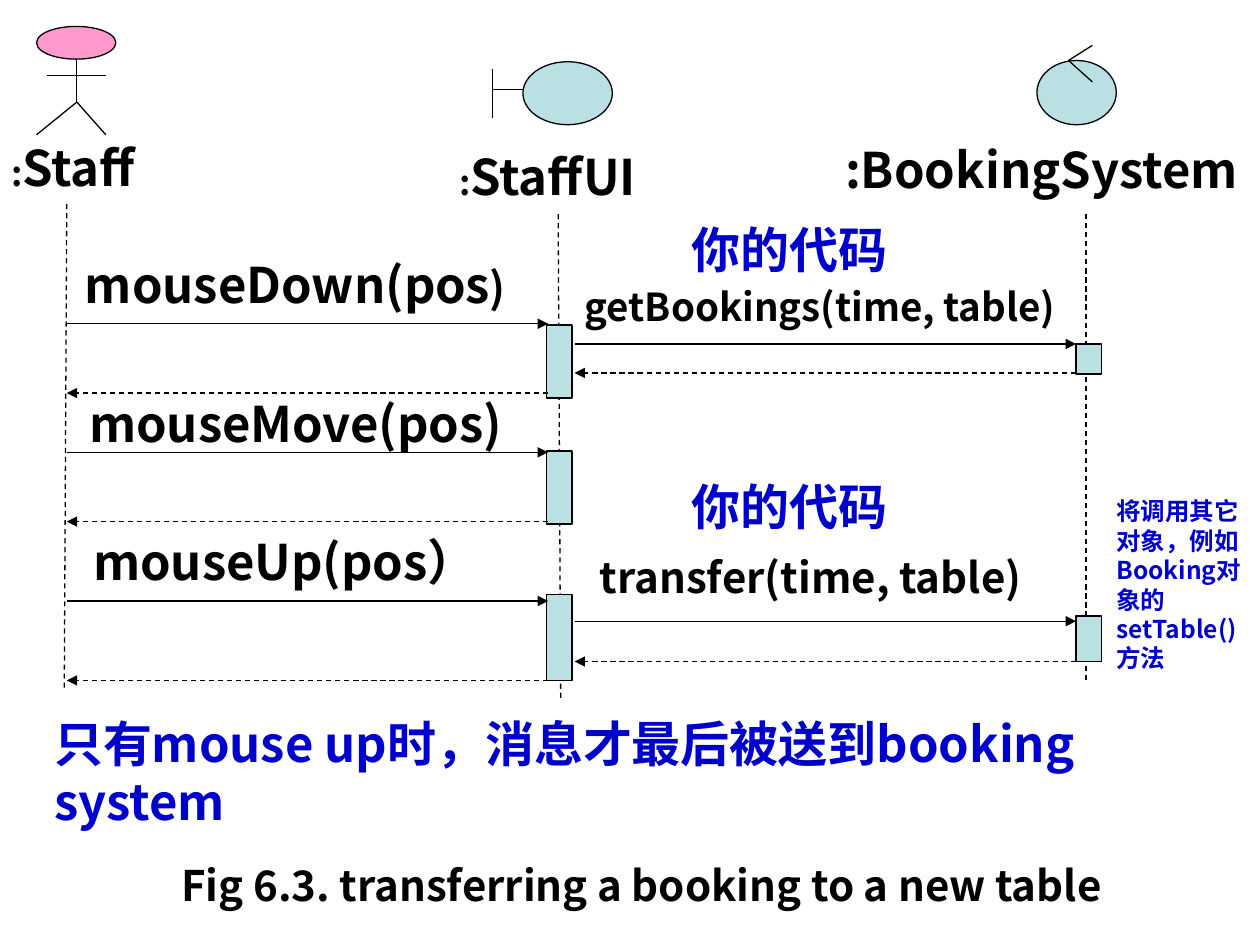
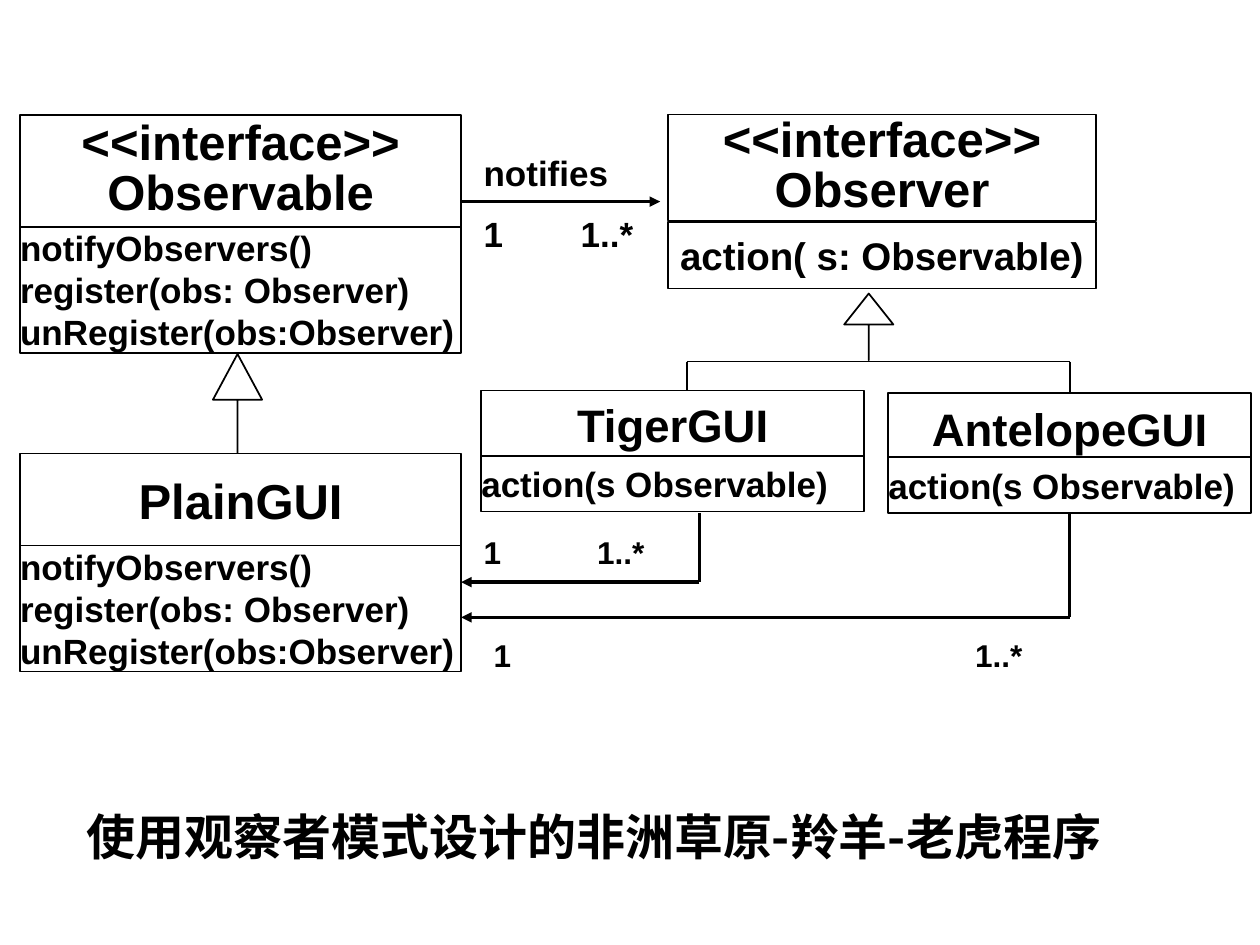
import dataclasses

import lxml.etree
import pptx
import pptx.dml.color
import pptx.enum.dml
import pptx.enum.shapes
import pptx.enum.text
import pptx.oxml.ns
import pptx.util

PX = 9144
KIND = pptx.enum.shapes.MSO_SHAPE
ALIGN = pptx.enum.text.PP_ALIGN
ANCHOR = pptx.enum.text.MSO_ANCHOR
qn = pptx.oxml.ns.qn


@dataclasses.dataclass(frozen=True)
class Theme:
    ink: str = "000000"
    paper: str = "FFFFFF"
    note: str = "0000CC"
    object_fill: str = "BBE0E3"
    actor_fill: str = "FF99CC"
    chinese: str = "Noto Sans CJK SC"
    latin: str = "Arial"
    heading: int = 28
    class_name: int = 26
    caption: int = 24
    signature: int = 22
    method: int = 20
    label: int = 18
    remark: int = 14
    thin: float = 0.75
    outline: float = 1
    thick: float = 2


theme = Theme()


def add_text(shapes, text, box, *, shape=None, kind=None, fill=None, line=None,
             sizes=(theme.heading,), color=theme.ink, font=theme.chinese,
             align=ALIGN.LEFT, anchor=ANCHOR.TOP, inset=(0, 0), wrap=True,
             spacing=None, tab=None):
    left, top, width, height = (value * PX for value in box)
    if shape is not None:
        shape.left, shape.top, shape.width, shape.height = left, top, width, height
    elif kind is None:
        shape = shapes.add_textbox(left, top, width, height)
    else:
        shape = shapes.add_shape(kind, left, top, width, height)
        shape.shadow.inherit = False
        shape.fill.solid()
        shape.fill.fore_color.rgb = pptx.dml.color.RGBColor.from_string(fill)
        shape.line.color.rgb = pptx.dml.color.RGBColor.from_string(theme.ink)
        shape.line.width = pptx.util.Pt(line)
    if not text:
        return shape
    frame = shape.text_frame
    frame.word_wrap = wrap
    frame.auto_size = pptx.enum.text.MSO_AUTO_SIZE.NONE
    frame.vertical_anchor = anchor
    frame.margin_left = frame.margin_right = inset[0] * PX
    frame.margin_top = frame.margin_bottom = inset[1] * PX
    for index, row in enumerate(text.split("\n")):
        paragraph = frame.add_paragraph() if index else frame.paragraphs[0]
        paragraph.alignment = align
        if spacing:
            paragraph.line_spacing = spacing
        if tab:
            properties = paragraph._p.get_or_add_pPr()
            tabs = lxml.etree.SubElement(properties, qn("a:tabLst"))
            lxml.etree.SubElement(tabs, qn("a:tab"), pos=str(tab * PX), algn="l")
        for words, size in zip(row.split("|"), sizes):
            run = paragraph.add_run()
            run.text = words
            run.font.size = pptx.util.Pt(size)
            run.font.bold = True
            run.font.name = font
            run.font.color.rgb = pptx.dml.color.RGBColor.from_string(color)
            latin = run._r.rPr.find(qn("a:latin"))
            east_asian = lxml.etree.Element(qn("a:ea"), typeface=font)
            latin.addnext(east_asian)
    return shape


def add_line(shapes, start, end, width=theme.thin, dashed=False, arrow=False):
    connector = shapes.add_connector(
        pptx.enum.shapes.MSO_CONNECTOR.STRAIGHT,
        start[0] * PX, start[1] * PX, end[0] * PX, end[1] * PX)
    connector.line.color.rgb = pptx.dml.color.RGBColor.from_string(theme.ink)
    connector.line.width = pptx.util.Pt(width)
    if dashed:
        connector.line.dash_style = pptx.enum.dml.MSO_LINE.DASH
    if arrow:
        lxml.etree.SubElement(connector.line._get_or_add_ln(), qn("a:tailEnd"), type="triangle")
    lxml.etree.SubElement(connector._element.spPr, qn("a:effectLst"))
    return connector


presentation = pptx.Presentation()
presentation.slide_width = 1000 * PX
presentation.slide_height = 750 * PX
title_only = presentation.slide_layouts[5]

slide = presentation.slides.add_slide(title_only)
shapes = slide.shapes
add_text(shapes, "Fig 6.3. transferring a booking to a new table", (59, 682, 900, 47),
         shape=shapes.title, sizes=(theme.caption,), align=ALIGN.CENTER,
         inset=(10, 5), spacing=0.9)

for lifeline_start, lifeline_end in (((53, 162), (51, 548)),
                                     ((443, 170), (445, 556)),
                                     ((862, 170), (862, 541))):
    add_line(shapes, lifeline_start, lifeline_end, dashed=True)

participants = (
    ((29, 21, 63, 26), theme.actor_fill,
     (((61, 47), (61, 81)), ((37, 60), (84, 60)),
      ((61, 81), (29, 107)), ((61, 81), (84, 107))),
     ":|Staff", (7, 109, 102, 47), (theme.method, theme.heading)),
    ((415, 49, 71, 50), theme.object_fill,
     (((391, 55), (391, 94)), ((391, 71), (415, 71))),
     ":|StaffUI", (362, 116, 145, 47), (theme.method, theme.heading)),
    ((823, 48, 63, 51), theme.object_fill,
     (((867, 36), (848, 48)), ((848, 48), (867, 65))),
     ":BookingSystem", (665, 111, 323, 47), (theme.heading,)),
)
for head, head_fill, strokes, name, name_box, name_sizes in participants:
    icon = shapes.add_group_shape().shapes
    add_text(icon, "", head, kind=KIND.OVAL, fill=head_fill, line=theme.thin)
    for stroke_start, stroke_end in strokes:
        add_line(icon, stroke_start, stroke_end)
    add_text(icon, name, name_box, sizes=name_sizes, align=ALIGN.CENTER)

for left, top, height in ((434, 258, 58), (434, 358, 58), (434, 472, 68),
                          (854, 273, 24), (854, 489, 36)):
    add_text(shapes, "", (left, top, 20, height), kind=KIND.RECTANGLE,
             fill=theme.object_fill, line=theme.thin)

for caller, callee, call_y, return_y in ((53, 435, 257, 312), (53, 435, 359, 414),
                                         (53, 435, 477, 540), (456, 854, 273, 296),
                                         (456, 854, 493, 525)):
    add_line(shapes, (caller, call_y), (callee, call_y), arrow=True)
    add_line(shapes, (callee, return_y), (caller, return_y), dashed=True, arrow=True)

for message, box, sizes, align in (
        ("mouseDown(pos|)", (61, 202, 347, 47), (theme.heading, theme.caption), ALIGN.CENTER),
        ("mouseMove(pos)", (69, 312, 331, 47), (theme.heading,), ALIGN.CENTER),
        ("mouseUp(pos）", (53, 422, 346, 47), (theme.heading,), ALIGN.CENTER),
        ("getBookings(time, table)", (464, 225, 438, 37), (theme.signature,), ALIGN.LEFT),
        ("transfer(time, table)", (476, 438, 351, 40), (theme.caption,), ALIGN.LEFT)):
    add_text(shapes, message, box, sizes=sizes, align=align)

for top in (169, 373):
    add_text(shapes, "你的代码", (539, top, 189, 57), color=theme.note, inset=(10, 5))
add_text(shapes, "只有mouse up时，消息才最后被送到booking system", (43, 561, 913, 104),
         color=theme.note, inset=(0, 5))
add_text(shapes, "将调用其它对象，例如\nBooking对象的setTable()方法", (886, 389, 102, 150),
         sizes=(theme.remark,), color=theme.note, inset=(0, 5))

slide = presentation.slides.add_slide(title_only)
shapes = slide.shapes
add_text(shapes, "使用观察者模式设计的非洲草原-羚羊-老虎程序", (59, 635, 882, 57),
         shape=shapes.title, inset=(10, 5))

for arrow_box, head_ratio in (((169, 281, 39, 80), 0.93), ((670, 233, 39, 53), 0.63)):
    triangle = add_text(shapes, "", arrow_box, kind=KIND.UP_ARROW,
                        fill=theme.paper, line=theme.outline)
    triangle.adjustments[0] = 0
    triangle.adjustments[1] = head_ratio

subject_methods = "notifyObservers()\nregister(obs: Observer)\nunRegister(obs:Observer)"
gui_method = "action(s Observable)"
classes = (
    ("<<interface>>\nObservable", theme.heading, 0.85, (16, 91, 350, 89),
     subject_methods, theme.method, 180, 100, (0, 0)),
    ("PlainGUI", theme.heading, None, (16, 360, 350, 74),
     subject_methods, theme.method, 433, 100, (0, 0)),
    ("<<interface>>\nObserver", theme.heading, 0.85, (530, 91, 340, 84),
     "action( s: Observable)", theme.signature, 176, 53, (10, 5)),
    ("TigerGUI", theme.class_name, None, (382, 310, 304, 54),
     gui_method, theme.method, 362, 44, (0, 5)),
    ("AntelopeGUI", theme.class_name, None, (705, 312, 288, 55),
     gui_method, theme.method, 363, 44, (0, 5)),
)
class_style = dict(kind=KIND.RECTANGLE, fill=theme.paper, line=theme.outline,
                   font=theme.latin, anchor=ANCHOR.MIDDLE)
for (name, name_size, spacing, name_box, methods, method_size,
     methods_top, methods_height, inset) in classes:
    name_shape = add_text(shapes, name, name_box, sizes=(name_size,), align=ALIGN.CENTER,
                          inset=(10, 5), wrap=False, spacing=spacing, **class_style)
    methods_shape = add_text(shapes, methods, (name_box[0], methods_top, name_box[2], methods_height),
                             sizes=(method_size,), inset=inset,
                             wrap=inset[0] == 0, **class_style)

antelope_name, antelope_methods = name_shape, methods_shape
add_line(shapes, (545, 287), (849, 287), theme.outline)
add_line(shapes, (545, 287), (545, 310), theme.outline)
add_line(shapes, (849, 287), (849, 312), theme.outline).end_connect(antelope_name, 0)

add_line(shapes, (366, 160), (524, 160), theme.thick, arrow=True)
add_line(shapes, (555, 407), (555, 462), theme.thick)
add_line(shapes, (555, 462), (366, 462), theme.thick, arrow=True)
add_line(shapes, (849, 407), (849, 490), theme.thick).begin_connect(antelope_methods, 2)
add_line(shapes, (849, 490), (366, 490), theme.thick, arrow=True)

for label, box, size, tab in (
        ("notifies", (374, 115, 134, 44), theme.method, None),
        ("1\t1..*", (374, 164, 150, 44), theme.method, 77),
        ("1\t1..*", (374, 418, 150, 40), theme.label, 90),
        ("1\t1..*", (382, 500, 441, 40), theme.label, 382)):
    add_text(shapes, label, box, sizes=(size,), font=theme.latin, inset=(10, 5), tab=tab)

presentation.save("out.pptx")
